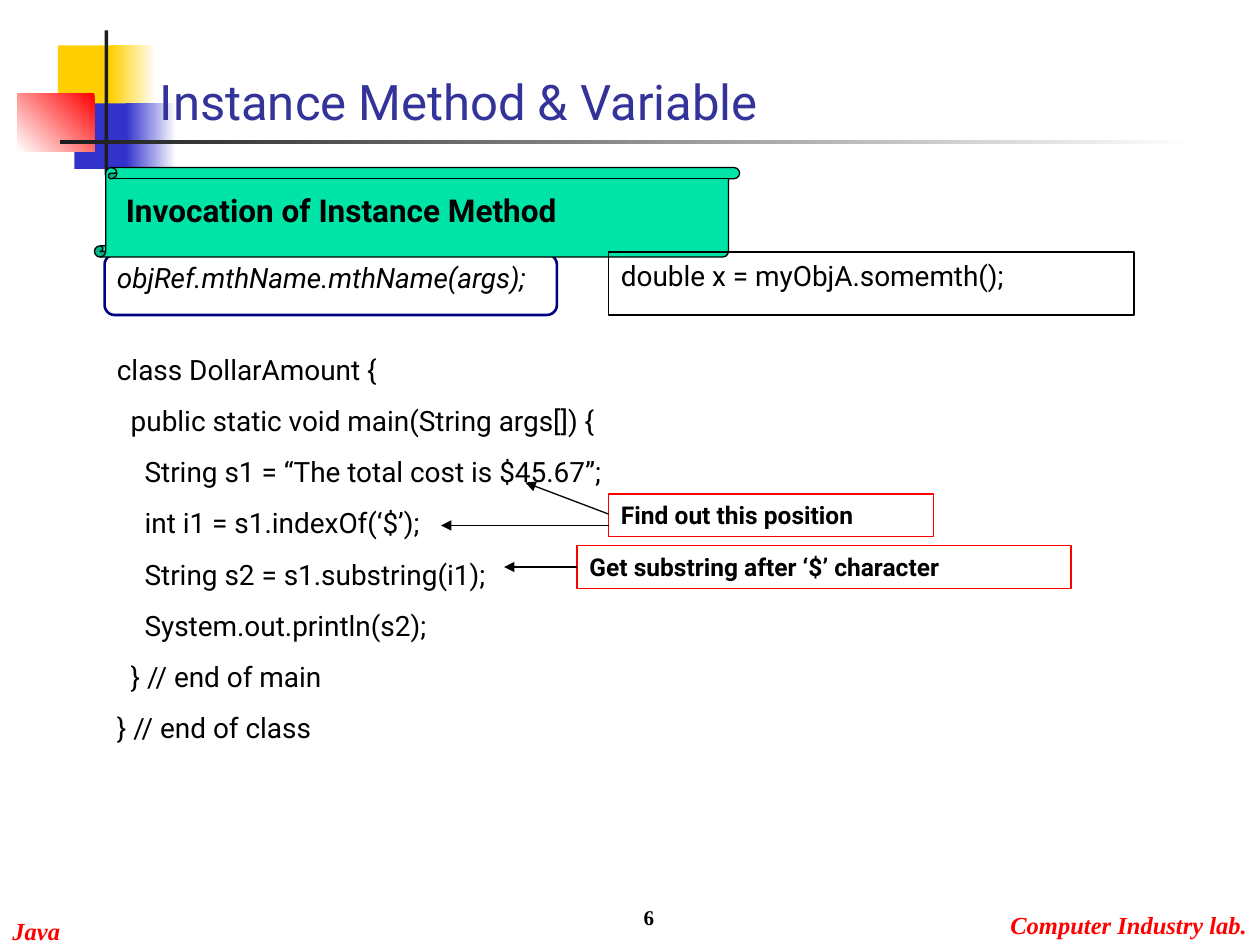
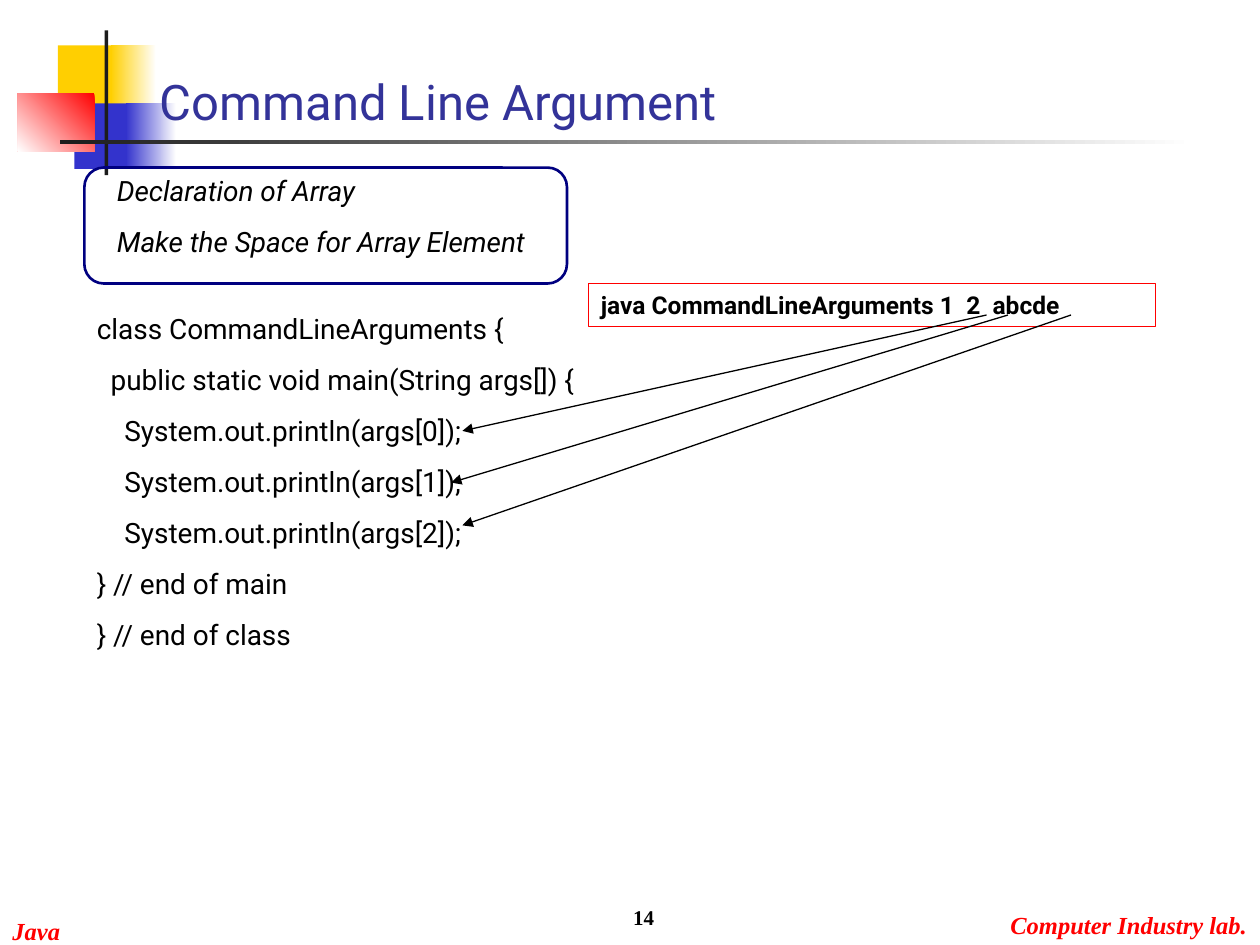
from lxml.etree import SubElement
from pptx import Presentation
from pptx.dml.color import RGBColor
from pptx.enum.shapes import MSO_CONNECTOR, MSO_SHAPE
from pptx.enum.text import MSO_ANCHOR, PP_ALIGN
from pptx.oxml.ns import qn
from pptx.util import Inches, Pt

BLACK, WHITE, RED = "000000", "FFFFFF", "FF0000"
GOLD, BLUE, DARK = "FFCF01", "3333CC", "1C1C1C"
NAVY, INDIGO, GREEN = "000080", "333399", "00E4A8"
SANS, SERIF = "Roboto", "Times New Roman"


def color(code):
    return RGBColor.from_string(code)


def place(box):
    return [Inches(n) for n in box]


def write(frame, lines, size, font=SANS, ink=BLACK, bold=False,
          italic=False, gap=0, align=PP_ALIGN.LEFT):
    for i, line in enumerate(lines):
        para = frame.paragraphs[0] if i == 0 else frame.add_paragraph()
        para.alignment = align
        if i:
            para.space_before = Pt(gap)
        run = para.add_run()
        run.text = line
        run.font.size = Pt(size)
        run.font.name = font
        run.font.bold = bold
        run.font.italic = italic
        run.font.color.rgb = color(ink)


def label(slide, box, lines, size, anchor=MSO_ANCHOR.TOP, wrap=True, **style):
    frame = slide.shapes.add_textbox(*place(box)).text_frame
    frame.word_wrap = wrap
    frame.vertical_anchor = anchor
    write(frame, lines, size, **style)


def panel(slide, box, kind=MSO_SHAPE.RECTANGLE, fill=None, line=None, weight=0.75):
    shape = slide.shapes.add_shape(kind, *place(box))
    shape.shadow.inherit = False
    if fill:
        shape.fill.solid()
        shape.fill.fore_color.rgb = color(fill)
    else:
        shape.fill.background()
    if line:
        shape.line.color.rgb = color(line)
        shape.line.width = Pt(weight)
    else:
        shape.line.fill.background()
    return shape


def fade(slide, box, start, end, angle=180):
    fill = panel(slide, box).fill
    fill.gradient()
    fill.gradient_angle = angle
    for stop, code in zip(fill.gradient_stops, (start, end)):
        stop.color.rgb = color(code)


def arrow(slide, start, end):
    line = slide.shapes.add_connector(
        MSO_CONNECTOR.STRAIGHT, *place(start), *place(end))
    line.line.color.rgb = color(BLACK)
    line.line.width = Pt(0.75)
    SubElement(line.line._get_or_add_ln(), qn("a:tailEnd"), type="triangle")
    SubElement(line._element.spPr, qn("a:effectLst"))


def note(slide, box, text, links):
    frame = panel(slide, box, line=RED).text_frame
    frame.word_wrap = True
    frame.vertical_anchor = MSO_ANCHOR.TOP
    write(frame, [text], 14, bold=True)
    left, top = box[:2]
    for x, y, to_x, to_y in links:
        arrow(slide, (left + x, top + y), (left + to_x, top + to_y))


def syntax(slide, box, lines, indent=0):
    left, top, width, height = box
    panel(slide, box, MSO_SHAPE.ROUNDED_RECTANGLE, line=NAVY, weight=1.5)
    label(slide, (left + indent, top, width + 0.2, height), lines, 16,
          italic=True, gap=10)


def banner(slide, box, text):
    left, top, width, height = box
    panel(slide, box, MSO_SHAPE.VERTICAL_SCROLL, GREEN, BLACK)
    label(slide, (left + 0.15, top + 0.14, width - 0.24, 0.4), [text], 18, bold=True)


def sample(slide, box, text):
    label(slide, box, [text], 16)
    panel(slide, box, line=BLACK)


def code(slide, box, lines):
    label(slide, box, lines, 16, gap=10)


def motif(slide, left, top):
    panel(slide, (left + 0.32, top + 0.12, 0.48, 0.52), fill=GOLD)
    fade(slide, (left + 0.74, top + 0.12, 0.36, 0.52), WHITE, GOLD)
    panel(slide, (left + 0.45, top + 0.58, 0.46, 0.52), fill=BLUE)
    fade(slide, (left + 0.86, top + 0.58, 0.4, 0.52), WHITE, BLUE)
    fade(slide, (left, top + 0.5, 0.61, 0.46), RED, WHITE, 225)
    panel(slide, (left + 0.69, top, 0.03, 1.15), fill=DARK)
    fade(slide, (left + 0.34, top + 0.87, 9, 0.03), WHITE, DARK)


def footer(slide, number):
    style = dict(font=SERIF, bold=True)
    for box, text in (((0, 7.22, 0.58, 0.34), "Java"),
                      ((7.92, 7.17, 2.08, 0.34), "Computer Industry lab.")):
        label(slide, box, [text], 14, wrap=False, ink=RED, italic=True, **style)
    label(slide, (3.21, 6.93, 2.08, 0.5), [str(number)], 12,
          MSO_ANCHOR.BOTTOM, align=PP_ALIGN.RIGHT, **style)


def base(deck, title, number):
    slide = deck.slides.add_slide(deck.slide_layouts[6])
    motif(slide, 0.14, 0.24)
    label(slide, (1.17, 0.5, 8.08, 0.58), [title], 28, MSO_ANCHOR.BOTTOM, ink=INDIGO)
    footer(slide, number)
    return slide


def method(deck):
    slide = base(deck, "Instance Method & Variable", 6)
    syntax(slide, (0.83, 2.02, 3.59, 0.48), ["objRef.mthName.mthName(args);"])
    banner(slide, (0.75, 1.33, 5.12, 0.71), "Invocation of Instance Method")
    sample(slide, (4.83, 2, 4.17, 0.5), "double x = myObjA.somemth();")
    code(slide, (0.83, 2.75, 7.83, 3.21), [
        "class DollarAmount {",
        "  public static void main(String args[]) {",
        "    String s1 = “The total cost is $45.67”;",
        "    int i1 = s1.indexOf(‘$’);",
        "    String s2 = s1.substring(i1);",
        "    System.out.println(s2);",
        "  } // end of main",
        "} // end of class",
    ])
    note(slide, (4.83, 3.92, 2.58, 0.34), "Find out this position",
         [(0, 0.16, -0.66, -0.09), (0, 0.25, -1.33, 0.25)])
    note(slide, (4.58, 4.33, 3.92, 0.34), "Get substring after ‘$’ character",
         [(0, 0.17, -0.58, 0.17)])


def command(deck):
    slide = base(deck, "Command Line Argument", 14)
    syntax(slide, (0.67, 1.33, 3.83, 0.92),
           ["Declaration of Array", "Make the Space for Array Element"], 0.16)
    code(slide, (0.67, 2.42, 8, 2.8), [
        "class CommandLineArguments {",
        "  public static void main(String args[]) {",
        *[f"    System.out.println(args[{i}]);" for i in range(3)],
        "} // end of main",
        "} // end of class",
    ])
    note(slide, (4.67, 2.25, 4.5, 0.34), "java CommandLineArguments 1  2  abcde",
         [(3.16, 0.25, -1, 1.17), (3.33, 0.25, -1.09, 1.58), (3.83, 0.25, -1, 1.92)])


def main():
    deck = Presentation()
    deck.slide_width, deck.slide_height = Inches(10), Inches(7.5)
    method(deck)
    command(deck)
    deck.save("out.pptx")


if __name__ == "__main__":
    main()
